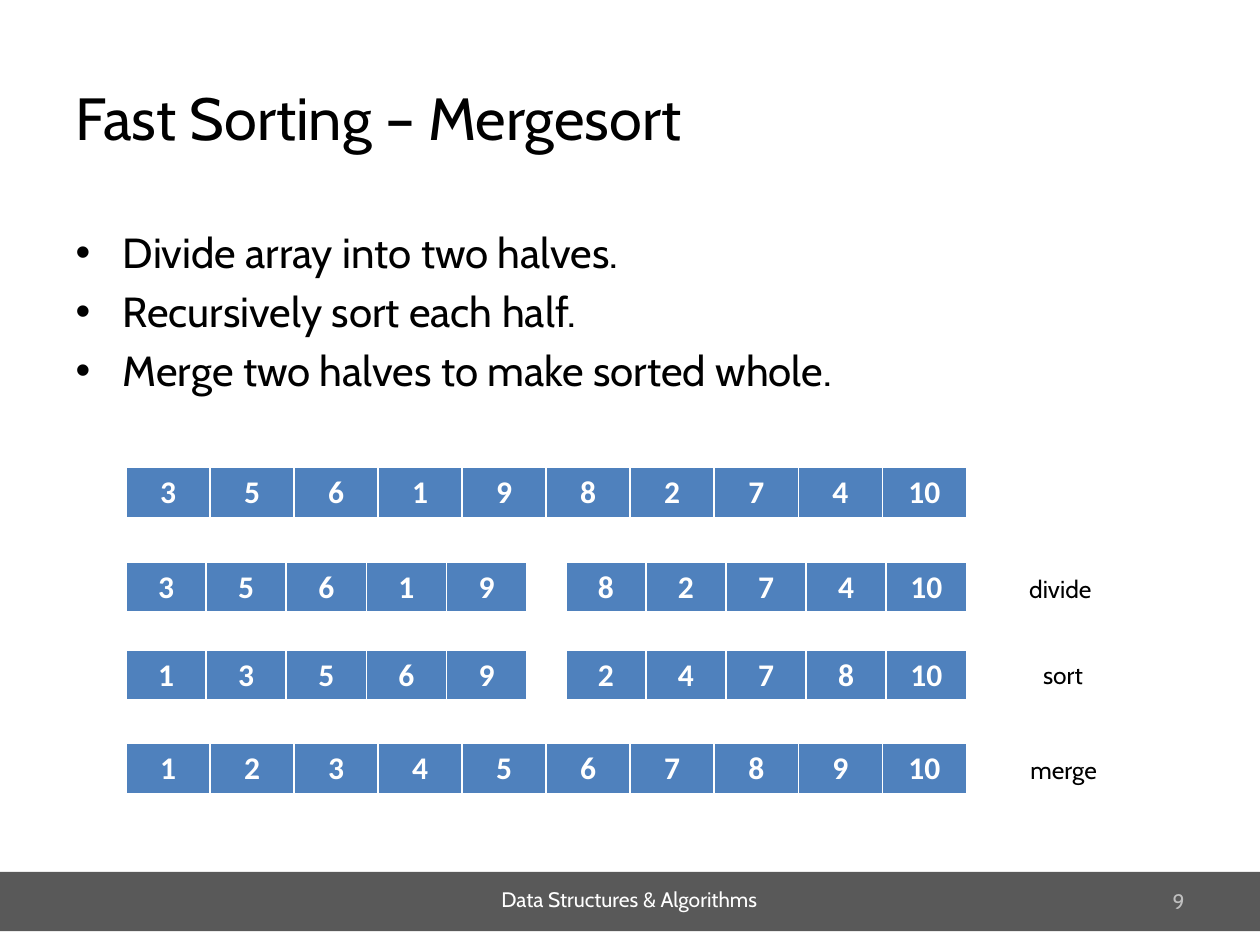
from lxml.etree import SubElement
from pptx import Presentation
from pptx.dml.color import RGBColor
from pptx.enum.shapes import MSO_SHAPE
from pptx.enum.text import MSO_ANCHOR, PP_ALIGN
from pptx.oxml.ns import qn
from pptx.util import Inches, Pt

TEXT_FONT, CELL_FONT = "Cabin", "Calibri"
BLACK, WHITE, GRAY = "000000", "FFFFFF", "BFBFBF"
BAR_COLOR, CELL_COLOR = "595959", "4F81BD"
ROW_HEIGHT = 0.41
HALF_GAP = 0.31


def color(hex_string):
    return RGBColor.from_string(hex_string)


def write_text(frame, *lines, size, font=TEXT_FONT, fill=BLACK, bold=None,
               align=PP_ALIGN.LEFT, anchor=None):
    """Fill a text frame with one formatted paragraph per line."""
    for index, line in enumerate(lines):
        paragraph = frame.add_paragraph() if index else frame.paragraphs[0]
        paragraph.alignment = align
        run = paragraph.add_run()
        run.text = line
        run.font.size = Pt(size)
        run.font.name = font
        run.font.bold = bold
        run.font.color.rgb = color(fill)
    if anchor is not None:
        frame.vertical_anchor = anchor


def add_label(slide, text, left, top, width, height, wrap=True, **text_format):
    box = slide.shapes.add_textbox(
        Inches(left), Inches(top), Inches(width), Inches(height))
    box.text_frame.word_wrap = wrap
    write_text(box.text_frame, text, **text_format)
    return box


def place(shape, left, top, width, height):
    shape.left, shape.top = Inches(left), Inches(top)
    shape.width, shape.height = Inches(width), Inches(height)


def set_borders(cell):
    """Draw thin white borders with a thicker one at the bottom."""
    properties = cell._tc.get_or_add_tcPr()
    for index, (side, points) in enumerate(
            [("lnL", 1), ("lnR", 1), ("lnT", 1), ("lnB", 3)]):
        line = properties.makeelement(qn(f"a:{side}"), {"w": str(Pt(points))})
        fill = SubElement(line, qn("a:solidFill"))
        SubElement(fill, qn("a:srgbClr"), val=WHITE)
        properties.insert(index, line)


def add_array(slide, values, left, top, width):
    """Show the values as a one-row table of equal cells."""
    table = slide.shapes.add_table(
        1, len(values), Inches(left), Inches(top),
        Inches(width), Inches(ROW_HEIGHT)).table
    for column, value in enumerate(values):
        table.columns[column].width = int(Inches(width) / len(values))
        cell = table.cell(0, column)
        cell.fill.solid()
        cell.fill.fore_color.rgb = color(CELL_COLOR)
        set_borders(cell)
        write_text(cell.text_frame, str(value), size=18, font=CELL_FONT,
                   fill=WHITE, bold=True, align=PP_ALIGN.CENTER)


def add_halves(slide, values, left, top, width):
    middle = len(values) // 2
    half_width = (width - HALF_GAP) / 2
    add_array(slide, values[:middle], left, top, half_width)
    add_array(slide, values[middle:], left + half_width + HALF_GAP, top, half_width)


def add_mergesort_steps(slide, left, top, width):
    unsorted = [3, 5, 6, 1, 9, 8, 2, 7, 4, 10]
    middle = len(unsorted) // 2
    sorted_halves = sorted(unsorted[:middle]) + sorted(unsorted[middle:])
    add_array(slide, unsorted, left, top, width)
    add_halves(slide, unsorted, left, top + 0.75, width)
    add_halves(slide, sorted_halves, left, top + 1.45, width)
    add_array(slide, sorted(unsorted), left, top + 2.19, width)

    labels = [("divide", 0.4, 0.8, 0.73), ("sort", 0.51, 1.48, 0.55),
              ("merge", 0.41, 2.23, 0.77)]
    for text, offset, drop, label_width in labels:
        add_label(slide, text, left + width + offset, top + drop,
                  label_width, 0.34, wrap=False, size=14)


def add_footer(slide, left, top, width, height):
    bar = slide.shapes.add_shape(
        MSO_SHAPE.RECTANGLE, Inches(left), Inches(top),
        Inches(width), Inches(height))
    bar.shadow.inherit = False
    bar.fill.solid()
    bar.fill.fore_color.rgb = color(BAR_COLOR)
    bar.line.fill.background()
    course = add_label(slide, "Data Structures & Algorithms",
                       left + 3.67, top + 0.03, 2.65, 0.4,
                       size=12, fill=WHITE, align=PP_ALIGN.CENTER)
    course.text_frame.margin_top = Inches(0.09)
    add_label(slide, "9", left + 7.17, top + 0.03, 2.33, 0.4, size=12,
              fill=GRAY, align=PP_ALIGN.RIGHT, anchor=MSO_ANCHOR.MIDDLE)


def add_heading(slide, left, top, width):
    title, body = slide.shapes.title, slide.placeholders[1]
    place(title, left, top, width, 1.25)
    write_text(title.text_frame, "Fast Sorting – Mergesort", size=34,
               anchor=MSO_ANCHOR.MIDDLE)
    place(body, left, top + 1.45, width, 4.95)
    write_text(body.text_frame,
               "Divide array into two halves.",
               "Recursively sort each half.",
               "Merge two halves to make sorted whole.", size=24)


def main():
    presentation = Presentation()
    presentation.slide_width, presentation.slide_height = Inches(10), Inches(7.5)
    slide = presentation.slides.add_slide(presentation.slide_layouts[1])
    add_footer(slide, 0, 6.92, 10, 0.47)
    add_heading(slide, 0.5, 0.3, 9)
    add_mergesort_steps(slide, 1, 3.71, 6.67)
    presentation.save("out.pptx")


if __name__ == "__main__":
    main()
